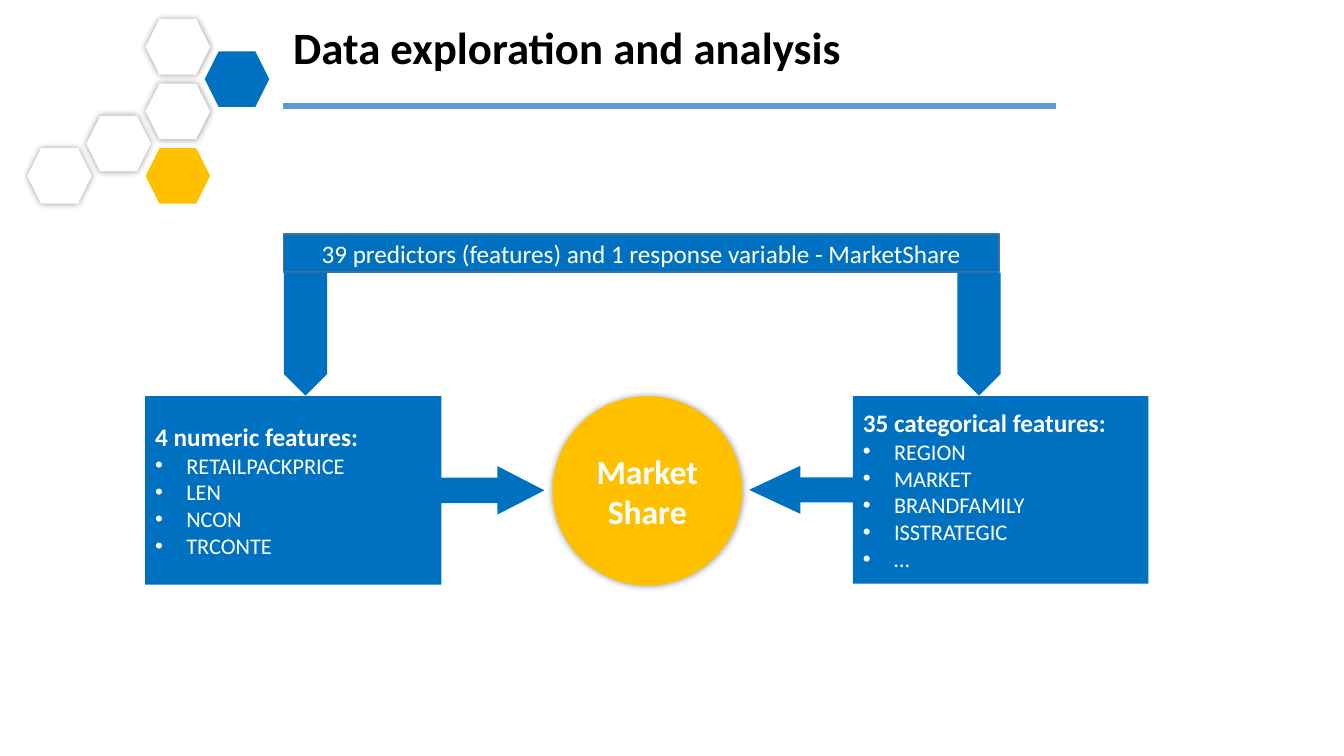
import pptx
import pptx.dml.color
import pptx.enum.shapes
import pptx.enum.text
import pptx.oxml
import pptx.oxml.ns
import pptx.util
from dataclasses import dataclass

Inches = pptx.util.Inches
Pt = pptx.util.Pt
RGB = pptx.dml.color.RGBColor.from_string
SHAPE = pptx.enum.shapes.MSO_SHAPE
ALIGN = pptx.enum.text.PP_ALIGN
ANCHOR = pptx.enum.text.MSO_ANCHOR
NAMESPACE = pptx.oxml.ns.nsdecls("a")


@dataclass
class Theme:
    font: str = "Calibri"
    blue: str = "0070C0"
    gold: str = "FFC000"
    white: str = "FFFFFF"
    black: str = "000000"
    rule: str = "5B9BD5"
    outline: str = "42719B"
    title: int = 32
    hub: int = 24
    heading: int = 18
    item: int = 16


theme = Theme()


def add_block(kind, left, top, width, height, color, glow=False):
    """Add a filled shape without outline, with a soft glow-like shadow if asked."""
    block = page.shapes.add_shape(kind, Inches(left), Inches(top), Inches(width), Inches(height))
    block.shadow.inherit = False
    block.fill.solid()
    block.fill.fore_color.rgb = RGB(color)
    block.line.fill.background()
    if glow:
        effects = block.element.spPr.find(pptx.oxml.ns.qn("a:effectLst"))
        effects.append(pptx.oxml.parse_xml(
            f'<a:outerShdw {NAMESPACE} blurRad="{Pt(5)}" dist="0" algn="ctr" rotWithShape="0">'
            f'<a:srgbClr val="{theme.black}"><a:alpha val="40000"/></a:srgbClr></a:outerShdw>'))
    return block


def style_text(para, size, color, bold=False, align=ALIGN.LEFT):
    para.alignment = align
    for span in para.runs:
        span.font.name = theme.font
        span.font.size = Pt(size)
        span.font.bold = bold
        span.font.color.rgb = RGB(color)


deck = pptx.Presentation()
deck.slide_width, deck.slide_height = Inches(13.33), Inches(7.5)
page = deck.slides.add_slide(deck.slide_layouts[6])

# Honeycomb: column and half-row steps on a hexagonal grid
for column, half_row, color in [
    (2, 2, theme.white), (2, 4, theme.gold), (3, 1, theme.blue),
    (2, 0, theme.white), (1, 3, theme.white), (0, 4, theme.white),
]:
    add_block(SHAPE.HEXAGON, 0.27 + 0.587 * column, 0.19 + 0.32 * half_row, 0.64, 0.55,
              color, glow=color == theme.white)

# Title and rule
title = page.shapes.add_textbox(Inches(2.81), Inches(0.15), Inches(10.06), Inches(0.64))
title.text_frame.word_wrap = True
title.text_frame.text = "Data exploration and analysis"
style_text(title.text_frame.paragraphs[0], theme.title, theme.black, bold=True)

rule = page.shapes.add_connector(pptx.enum.shapes.MSO_CONNECTOR.STRAIGHT,
                                 Inches(2.81), Inches(1.05), Inches(10.47), Inches(1.05))
rule.line.color.rgb = RGB(theme.rule)
rule.line.width = Pt(4.5)
rule.element.spPr.append(pptx.oxml.parse_xml(f"<a:effectLst {NAMESPACE}/>"))

# Feature callouts pointing at the hub
callouts = [
    (SHAPE.RIGHT_ARROW_CALLOUT, 1.44, 1.87, (0.135, 0.129, 0.25, 0.742), "4 numeric features:",
     ["RETAILPACKPRICE", "LEN", "NCON", "TRCONTE"]),
    (SHAPE.LEFT_ARROW_CALLOUT, 7.43, 1.86, (0.134, 0.128, 0.273, 0.74), "35 categorical features:",
     ["REGION", "MARKET", "BRANDFAMILY", "ISSTRATEGIC", "…"]),
]
for kind, left, height, adjustments, heading, features in callouts:
    callout = add_block(kind, left, 3.93, 3.96, height, theme.blue)
    for index, value in enumerate(adjustments):
        callout.adjustments[index] = value
    frame = callout.text_frame
    frame.vertical_anchor = ANCHOR.MIDDLE
    frame.text = heading
    style_text(frame.paragraphs[0], theme.heading, theme.white, bold=True)
    for feature in features:
        para = frame.add_paragraph()
        para.text = feature
        properties = para._p.get_or_add_pPr()
        properties.set("marL", str(Inches(0.31)))
        properties.set("indent", str(-Inches(0.31)))
        for bullet in (f'<a:buClr {NAMESPACE}><a:srgbClr val="{theme.white}"/></a:buClr>',
                       f'<a:buFont {NAMESPACE} typeface="Arial"/>',
                       f'<a:buChar {NAMESPACE} char="•"/>'):
            properties.append(pptx.oxml.parse_xml(bullet))
        style_text(para, theme.item, theme.white)

# Hub and top banner
hub = add_block(SHAPE.OVAL, 5.48, 3.93, 1.88, 1.88, theme.gold, glow=True)
banner = add_block(SHAPE.RECTANGLE, 2.81, 2.32, 7.1, 0.38, theme.blue)
banner.line.color.rgb = RGB(theme.outline)
banner.line.width = Pt(1)
for box, label, size, bold in [
    (hub, "Market Share", theme.hub, True),
    (banner, "39 predictors (features) and 1 response variable - MarketShare", theme.heading, False),
]:
    box.text_frame.vertical_anchor = ANCHOR.MIDDLE
    box.text_frame.text = label
    style_text(box.text_frame.paragraphs[0], size, theme.white, bold, ALIGN.CENTER)

# Arrows down from the banner to the callouts
for left in (2.42, 9.1):
    arrow = add_block(SHAPE.PENTAGON, left, 3.1, 1.22, 0.43, theme.blue)
    arrow.rotation = 90

deck.save("out.pptx")
